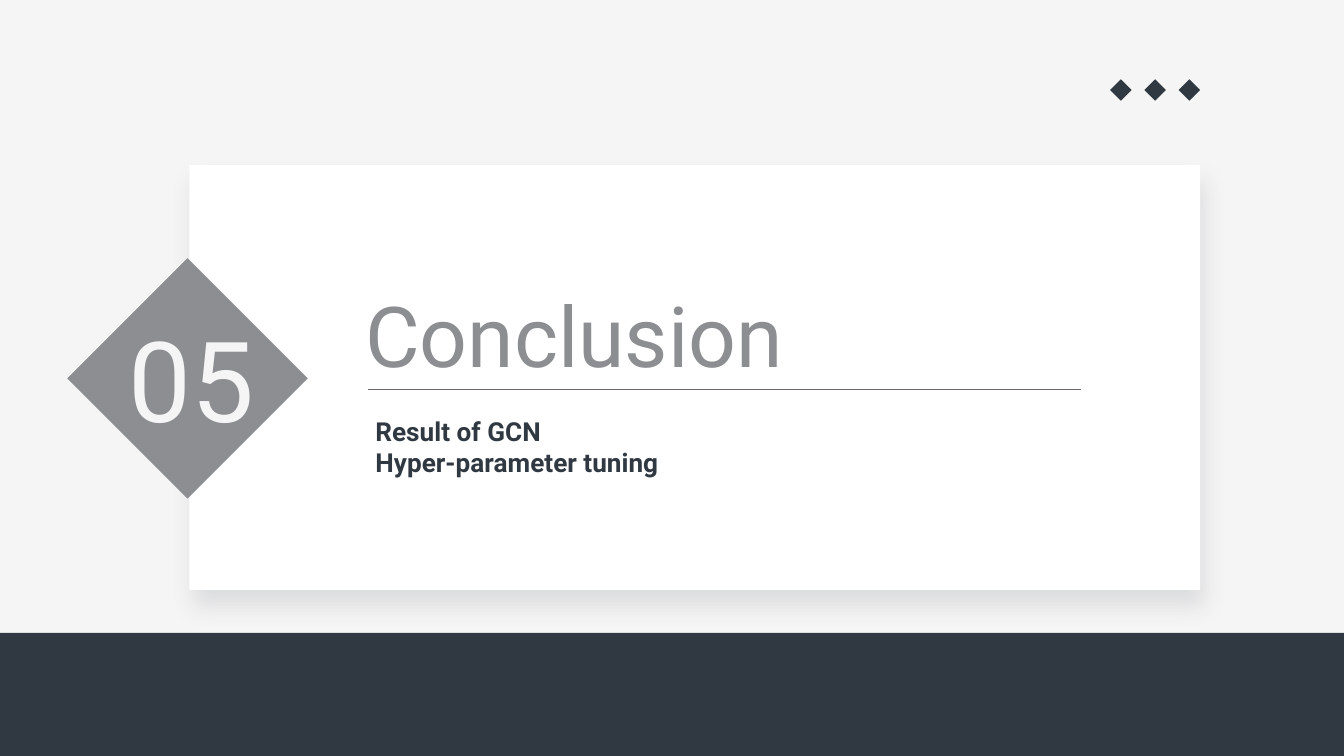
from dataclasses import dataclass

from lxml import etree
from pptx import Presentation
from pptx.dml.color import RGBColor
from pptx.enum.shapes import MSO_CONNECTOR, MSO_SHAPE
from pptx.enum.text import MSO_ANCHOR, PP_ALIGN
from pptx.oxml import parse_xml
from pptx.oxml.ns import nsdecls, qn
from pptx.util import Inches, Pt

RECT, DIAMOND = MSO_SHAPE.RECTANGLE, MSO_SHAPE.DIAMOND
STRAIGHT = MSO_CONNECTOR.STRAIGHT
TOP, MIDDLE = MSO_ANCHOR.TOP, MSO_ANCHOR.MIDDLE
LEFT, RIGHT = PP_ALIGN.LEFT, PP_ALIGN.RIGHT

COLS, ROWS = 100, 56.25  # square grid cells
CELL = Inches(0.1)


@dataclass(frozen=True)
class Theme:
    font: str = "Roboto"
    ground: str = "F5F5F5"
    dark: str = "303942"
    gray: str = "8D8E92"
    rule: str = "6C6465"
    card: str = "FFFFFF"
    title_size: float = 45
    number_size: float = 60
    body_size: float = 14
    rule_width: float = 0.75


@dataclass(frozen=True)
class Box:
    """A rectangle measured in grid cells."""
    x: float
    y: float
    w: float
    h: float

    def inner(self, x, y, w, h):
        """A box offset from this one's top left corner."""
        return Box(self.x + x, self.y + y, w, h)

    def emu(self):
        return [round(v * CELL) for v in (self.x, self.y, self.w, self.h)]


THEME = Theme()


def rgb(color):
    return RGBColor.from_string(color)


def add_filled(shapes, kind, box, color):
    s = shapes.add_shape(kind, *box.emu())
    s.shadow.inherit = False
    s.fill.solid()
    s.fill.fore_color.rgb = rgb(color)
    s.line.fill.background()
    return s


def add_text(shapes, box, lines, size, color, bold=False, align=LEFT, anchor=TOP):
    tf = shapes.add_textbox(*box.emu()).text_frame
    tf.word_wrap = True
    tf.vertical_anchor = anchor
    tf.margin_left = tf.margin_right = tf.margin_top = tf.margin_bottom = CELL
    p = tf.paragraphs[0]
    p.alignment = align
    for i, line in enumerate(lines):
        if i:
            p.add_line_break()
        r = p.add_run()
        r.text = line
        r.font.name = THEME.font
        r.font.size = Pt(size)
        r.font.bold = bold
        r.font.color.rgb = rgb(color)


def add_soft_shadow(s):
    effects = s._element.spPr.find(qn("a:effectLst"))
    effects.append(parse_xml(
        f'<a:outerShdw {nsdecls("a")} blurRad="{Pt(12.4)}" dist="{Pt(9)}" '
        f'dir="{76 * 60000}" algn="bl" rotWithShape="0">'
        f'<a:srgbClr val="{THEME.dark}"><a:alpha val="13000"/></a:srgbClr>'
        '</a:outerShdw>'))


def add_rule(shapes, box):
    x, y, w, _ = box.emu()
    line = shapes.add_connector(STRAIGHT, x, y, x + w, y)
    line.line.color.rgb = rgb(THEME.rule)
    line.line.width = Pt(THEME.rule_width)
    etree.SubElement(line._element.spPr, qn("a:effectLst"))


def add_card(shapes, box, title, lines):
    add_soft_shadow(add_filled(shapes, RECT, box, THEME.card))
    add_text(shapes, box.inner(12.1, 7.8, 51.6, 8.5), [title],
             THEME.title_size, THEME.gray)
    add_rule(shapes, box.inner(13.3, 16.7, 53, 0))
    add_text(shapes, box.inner(12.85, 17.6, 43.1, 6.2), lines,
             THEME.body_size, THEME.dark, bold=True)


def add_number(shapes, box, number):
    add_filled(shapes, DIAMOND, box, THEME.gray)
    add_text(shapes, box.inner(2.9, 4.3, 12, 9.2), [number], THEME.number_size,
             THEME.ground, align=RIGHT, anchor=MIDDLE)


def add_dots(shapes, box, count=3):
    """Spread square diamonds evenly from edge to edge of the box."""
    dots = shapes.add_group_shape().shapes
    step = (box.w - box.h) / (count - 1)
    for i in range(count):
        add_filled(dots, DIAMOND, box.inner(i * step, 0, box.h, box.h), THEME.dark)


def add_section_slide(prs, number, title, lines):
    slide = prs.slides.add_slide(prs.slide_layouts[6])
    slide.background.fill.solid()
    slide.background.fill.fore_color.rgb = rgb(THEME.ground)
    shapes = slide.shapes
    band_top = 47.1
    add_filled(shapes, RECT, Box(0, band_top, COLS, ROWS - band_top), THEME.dark)
    add_card(shapes, Box(14.1, 12.3, 75.2, 31.6), title, lines)
    add_number(shapes, Box(5, 19.2, 17.9, 17.9), number)
    add_dots(shapes, Box(82.6, 5.9, 6.7, 1.6))


def main():
    prs = Presentation()
    prs.slide_width, prs.slide_height = round(COLS * CELL), round(ROWS * CELL)
    add_section_slide(prs, "05", "Conclusion",
                      ["Result of GCN", "Hyper-parameter tuning"])
    prs.save("out.pptx")


if __name__ == "__main__":
    main()
